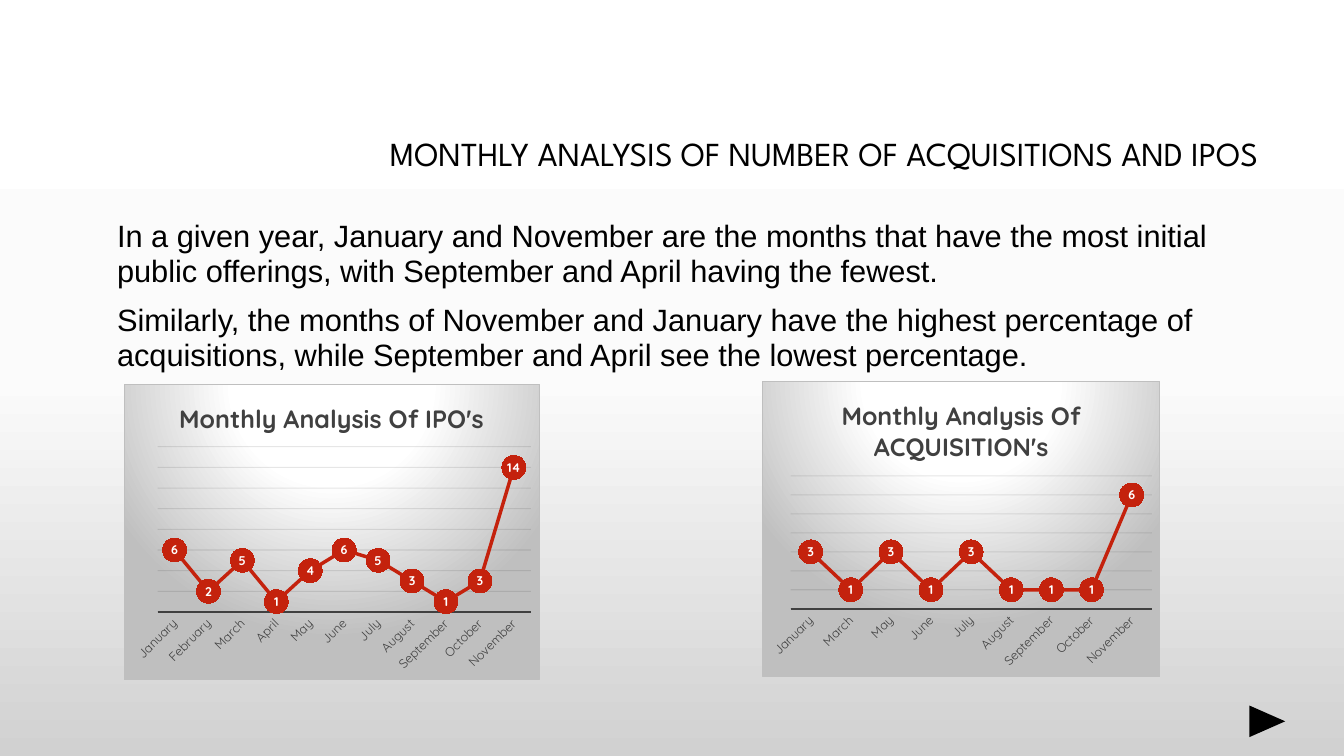
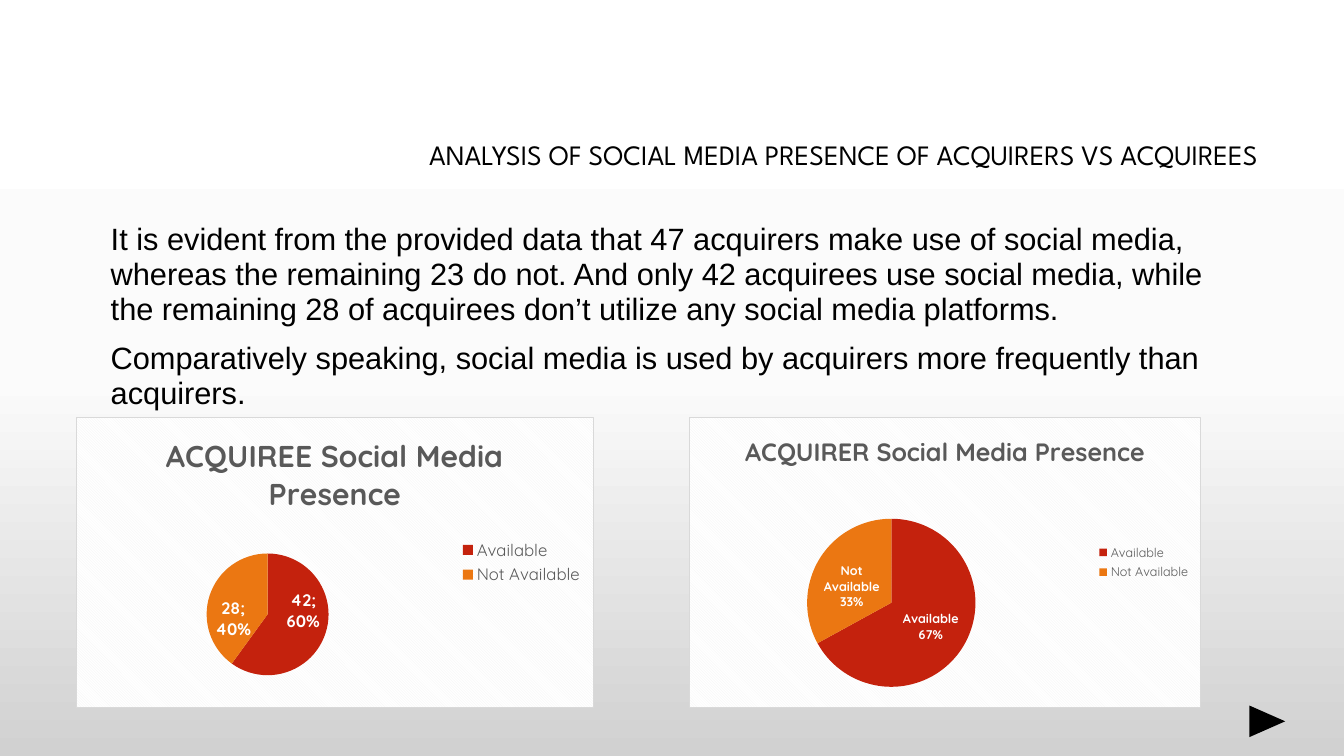
from pptx import Presentation
from pptx.chart.data import CategoryChartData
from pptx.dml.color import RGBColor
from pptx.enum.chart import (XL_CHART_TYPE, XL_LABEL_POSITION,
                             XL_LEGEND_POSITION, XL_MARKER_STYLE, XL_TICK_MARK)
from pptx.enum.shapes import MSO_SHAPE
from pptx.enum.text import MSO_ANCHOR, MSO_AUTO_SIZE, PP_ALIGN
from pptx.oxml import parse_xml
from pptx.oxml.ns import nsdecls, qn
from pptx.util import Pt

PX = 9525
WIDE, HIGH = 1280, 720

BLACK = RGBColor(0x00, 0x00, 0x00)
WHITE = RGBColor(0xFF, 0xFF, 0xFF)
PALE = RGBColor(0xFB, 0xFB, 0xFB)
SILVER = RGBColor(0xD1, 0xD1, 0xD1)
MIST = RGBColor(0xF2, 0xF2, 0xF2)
EDGE = RGBColor(0xD9, 0xD9, 0xD9)
STEEL = RGBColor(0xBF, 0xBF, 0xBF)
GREY = RGBColor(0x59, 0x59, 0x59)
DARK = RGBColor(0x40, 0x40, 0x40)
INK = RGBColor(0x0D, 0x0D, 0x0D)
RED = RGBColor(0xC4, 0x22, 0x0D)
ORANGE = RGBColor(0xEB, 0x77, 0x12)

HEAD, BODY, CHART = "League Spartan", "Arial", "Quicksand"

LINE, PIE = XL_CHART_TYPE.LINE_MARKERS, XL_CHART_TYPE.PIE
CENTER, INSIDE = XL_LABEL_POSITION.CENTER, XL_LABEL_POSITION.INSIDE_END
LEGEND = XL_LEGEND_POSITION.RIGHT
CIRCLE = XL_MARKER_STYLE.CIRCLE
NO_TICK = XL_TICK_MARK.NONE
MIDDLE, RIGHT = MSO_ANCHOR.MIDDLE, PP_ALIGN.RIGHT
NO_FIT = MSO_AUTO_SIZE.NONE
TRIANGLE = MSO_SHAPE.ISOSCELES_TRIANGLE


def emu(box):
    return [n * PX for n in box]


def style(font, name, size, color, bold=False):
    font.name, font.size, font.bold = name, Pt(size), bold
    font.color.rgb = color


def grad(stops, shade):
    """Gradient fill XML from (percent, colour) stops and its shading."""
    marks = "".join(f'<a:gs pos="{pos * 1000}"><a:srgbClr val="{color}"/></a:gs>'
                    for pos, color in stops)
    return (f'<a:gradFill {nsdecls("a")} rotWithShape="1">'
            f'<a:gsLst>{marks}</a:gsLst>{shade}</a:gradFill>')


GLOW = grad([(0, WHITE), (39, WHITE), (100, STEEL)],
            '<a:path path="circle"><a:fillToRect l="50000" t="-80000" '
            'r="50000" b="180000"/></a:path>')
STRIPE = (f'<a:pattFill prst="dkDnDiag"><a:fgClr><a:srgbClr val="{MIST}"/></a:fgClr>'
          f'<a:bgClr><a:srgbClr val="{WHITE}"/></a:bgClr></a:pattFill>')


def set_back(master):
    master.background.fill.solid()
    holder = master.element.find(".//" + qn("p:bgPr"))
    fill = grad([(0, WHITE), (50, PALE), (100, SILVER)],
                '<a:lin ang="5400000" scaled="0"/>')
    holder.replace(holder.find(qn("a:solidFill")), parse_xml(fill))


def add_title(slide, text, size):
    title = slide.shapes.title
    title.left, title.top, title.width, title.height = emu((304, 81, 904, 135))
    frame = title.text_frame
    frame.text = text
    frame.vertical_anchor, frame.auto_size = MIDDLE, NO_FIT
    para = frame.paragraphs[0]
    para.alignment, para.line_spacing = RIGHT, 0.9
    style(para.font, HEAD, size, BLACK)


def add_body(slide, left, top, texts):
    frame = slide.shapes.add_textbox(*emu((left, top, 1088, 359))).text_frame
    frame.word_wrap = True
    frame.text = "\n".join(texts)
    for i, para in enumerate(frame.paragraphs):
        para.line_spacing = 0.95
        para.space_before = Pt(10 if i else 0)
        style(para.font, BODY, 22, BLACK)


def add_arrow(slide):
    arrow = slide.shapes.add_shape(TRIANGLE, *emu((1192, 670, 30, 34)))
    arrow.rotation = 90
    arrow.shadow.inherit = False
    arrow.fill.solid()
    arrow.fill.fore_color.rgb = BLACK
    arrow.line.fill.background()


def add_chart(slide, kind, box, plot, title, size, color, cats, vals, fill, edge):
    """Framed chart; plot holds the inner area as fractions of the box."""
    data = CategoryChartData()
    data.categories = cats
    data.add_series("Series 1", vals)
    chart = slide.shapes.add_chart(kind, *emu(box), data).chart
    style(chart.font, CHART, 10, BLACK)
    chart.has_title = True
    frame = chart.chart_title.text_frame
    frame.text = title
    style(frame.paragraphs[0].font, CHART, size, color, True)

    root = chart.element
    root.find(qn("c:chart")).addnext(parse_xml(
        f'<c:spPr {nsdecls("c", "a")}>{fill}<a:ln w="9525"><a:solidFill>'
        f'<a:srgbClr val="{edge}"/></a:solidFill></a:ln></c:spPr>'))
    area = root.find(".//" + qn("c:plotArea"))
    old = area.find(qn("c:layout"))
    if old is not None:
        area.remove(old)
    sides = "".join(f'<c:{tag} val="{val}"/>' for tag, val in zip("xywh", plot))
    area.insert(0, parse_xml(
        f'<c:layout {nsdecls("c")}><c:manualLayout><c:layoutTarget val="inner"/>'
        f'<c:xMode val="edge"/><c:yMode val="edge"/>{sides}'
        f'</c:manualLayout></c:layout>'))
    return chart


def add_labels(plot, place, size):
    plot.has_data_labels = True
    labels = plot.data_labels
    labels.position = place
    style(labels.font, CHART, size, WHITE, True)
    return labels


def add_trend(slide, box, plot, title, cats, vals, top, step):
    chart = add_chart(slide, LINE, box, plot, title, 18, DARK,
                      cats, vals, GLOW, STEEL)
    chart.has_legend = False
    lines = chart.plots[0]
    lines.vary_by_categories = False
    add_labels(lines, CENTER, 9).show_value = True
    series = lines.series[0]
    series.smooth = False
    series.format.line.width = Pt(2.5)
    series.format.line.color.rgb = RED
    dot = series.marker
    dot.style, dot.size = CIRCLE, 17
    dot.format.fill.solid()
    dot.format.fill.fore_color.rgb = RED
    dot.format.line.color.rgb = RED

    months = chart.category_axis
    months.major_tick_mark = months.minor_tick_mark = NO_TICK
    months.format.line.width = Pt(1.5)
    months.format.line.color.rgb = DARK
    style(months.tick_labels.font, CHART, 9, DARK)
    months._element.find(qn("c:txPr")).find(qn("a:bodyPr")).set("rot", "-2700000")

    scale = chart.value_axis
    scale.visible = False
    scale.minimum_scale, scale.maximum_scale = 0, top
    scale.major_unit = step
    scale.has_major_gridlines = True
    grid = scale.major_gridlines.format.line
    grid.width = Pt(0.75)
    grid.color.rgb = INK
    node = scale._element
    shade = node.find(qn("c:majorGridlines")).find(".//" + qn("a:srgbClr"))
    shade.append(parse_xml(f'<a:alpha {nsdecls("a")} val="10000"/>'))
    if node.find(qn("c:crossBetween")) is None:
        node.find(qn("c:crosses")).addnext(
            parse_xml(f'<c:crossBetween {nsdecls("c")} val="between"/>'))


def add_pie(slide, box, plot, title, size, vals, small, named):
    """Pie with name and percent labels if named, else value and percent."""
    chart = add_chart(slide, PIE, box, plot, title, size, GREY,
                      ["Available", "Not Available"], vals, STRIPE, EDGE)
    chart.has_legend = True
    chart.legend.position = LEGEND
    chart.legend.include_in_layout = False
    style(chart.legend.font, CHART, small, GREY)
    pie = chart.plots[0]
    pie.vary_by_categories = True
    labels = add_labels(pie, INSIDE, small)
    labels.show_percentage = True
    labels.show_value, labels.show_category_name = not named, named
    mark = parse_xml(f'<c:separator {nsdecls("c")}/>')
    mark.text = "\n" if named else "; "
    labels._element.find(qn("c:showBubbleSize")).addnext(mark)
    for i, color in enumerate((RED, ORANGE)):
        fill = pie.series[0].points[i].format.fill
        fill.solid()
        fill.fore_color.rgb = color


def add_slide(deck, title, size, left, top, texts):
    slide = deck.slides.add_slide(deck.slide_layouts[5])
    add_title(slide, title, size)
    add_body(slide, left, top, texts)
    add_arrow(slide)
    return slide


def add_months(deck):
    slide = add_slide(
        deck, "MONTHLY ANALYSIS OF NUMBER OF ACQUISITIONS AND IPOS", 24, 102, 204,
        ["In a given year, January and November are the months that have the most "
         "initial public offerings, with September and April having the fewest.",
         "Similarly, the months of November and January have the highest percentage "
         "of acquisitions, while September and April see the lowest percentage."])
    months = ["January", "February", "March", "April", "May", "June", "July",
              "August", "September", "October", "November"]
    add_trend(slide, (118, 366, 396, 282), (0.08, 0.21, 0.9, 0.56),
              "Monthly Analysis Of IPO's", months,
              [6, 2, 5, 1, 4, 6, 5, 3, 1, 3, 14], 16, 2)
    add_trend(slide, (726, 363, 379, 282), (0.07, 0.32, 0.91, 0.45),
              "Monthly Analysis Of ACQUISITION's",
              [m for m in months if m not in ("February", "April")],
              [3, 1, 3, 1, 3, 1, 1, 1, 6], 7, 1)


def add_social(deck):
    slide = add_slide(
        deck, "ANALYSIS OF SOCIAL MEDIA PRESENCE OF ACQUIRERS VS ACQUIREES",
        20, 96, 207,
        ["It is evident from the provided data that 47 acquirers make use of social "
         "media, whereas the remaining 23 do not. And only 42 acquirees use social "
         "media, while the remaining 28 of acquirees don’t utilize any social media "
         "platforms.",
         "Comparatively speaking, social media is used by acquirers more frequently "
         "than acquirers."])
    add_pie(slide, (72, 397, 494, 277), (0.25, 0.47, 0.24, 0.42),
            "ACQUIREE Social Media Presence", 21.6, [42, 28], 12, False)
    add_pie(slide, (656, 397, 488, 277), (0.23, 0.35, 0.33, 0.58),
            "ACQUIRER Social Media Presence", 18, [67, 33], 9, True)


def main():
    deck = Presentation()
    deck.slide_width, deck.slide_height = emu((WIDE, HIGH))
    set_back(deck.slide_master)
    add_months(deck)
    add_social(deck)
    deck.save("out.pptx")


if __name__ == "__main__":
    main()
